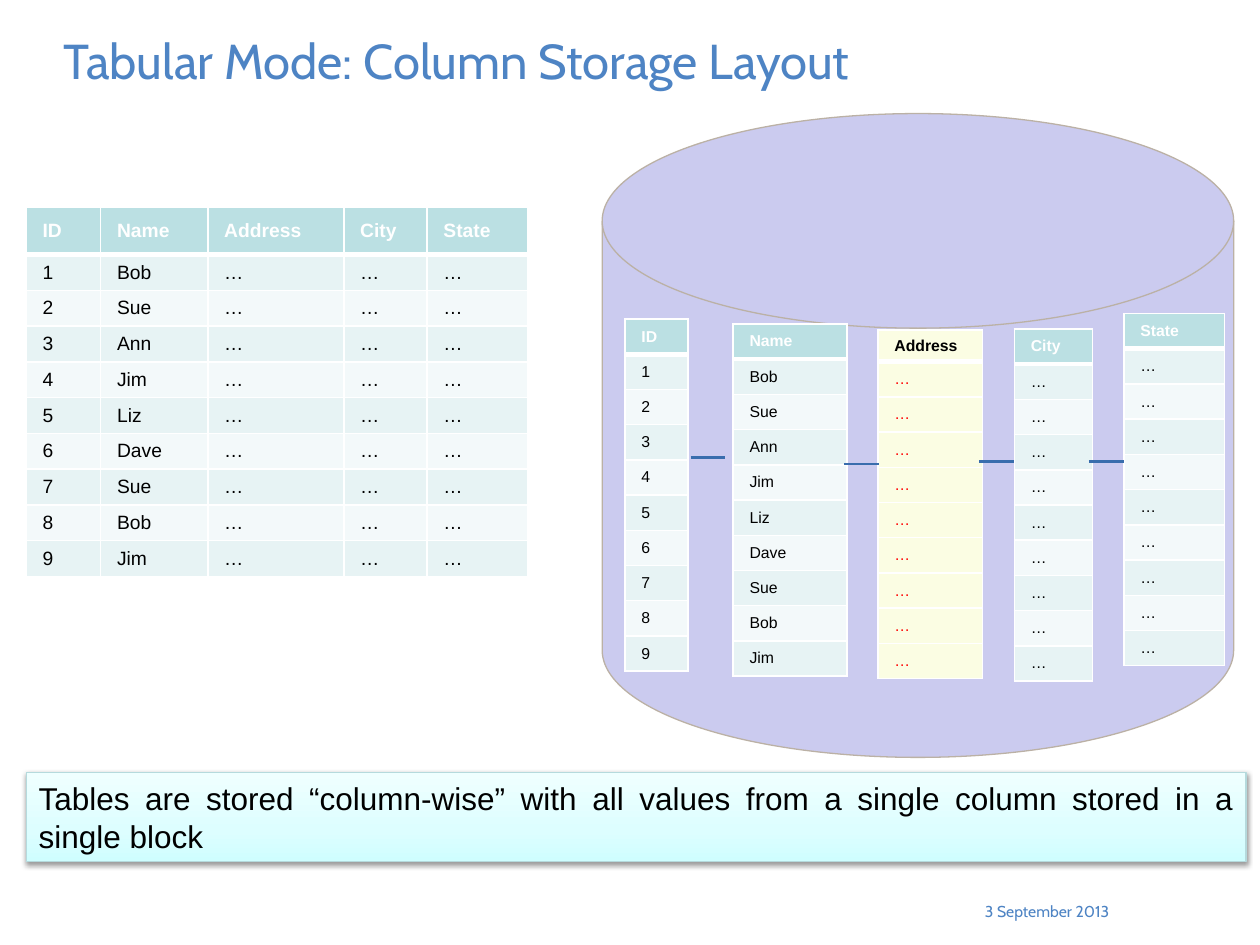
from lxml.etree import SubElement
from pptx import Presentation
from pptx.dml.color import RGBColor
from pptx.enum.shapes import MSO_CONNECTOR as Connector, MSO_SHAPE as Shape
from pptx.enum.text import MSO_ANCHOR as Anchor, PP_ALIGN as Align
from pptx.oxml.ns import qn
from pptx.util import Cm, Pt

COLORS = {
    "title": "4E84C4", "disk": "CBCBEF", "disk_line": "BBB1A5",
    "header": "BBE0E3", "odd": "E7F3F4", "even": "F3F9FA",
    "highlight": "FBFDE3", "white": "FFFFFF", "black": "000000",
    "red": "FF0000", "link": "396DAD", "note_line": "B5DADD",
}
NOTE_STOPS = [(0, "CFFEFF"), (35, "DDFEFF"), (100, "EFFFFF")]

# Content
TITLE = "Tabular Mode: Column Storage Layout"
DATE = "3 September 2013"
NOTE = ("Tables are stored “column-wise” with all values "
        "from a single column stored in a single block")
HEADERS = ["ID", "Name", "Address", "City", "State"]
NAMES = ["Bob", "Sue", "Ann", "Jim", "Liz", "Dave", "Sue", "Bob", "Jim"]
RECORDS = [[str(number), name, "…", "…", "…"]
           for number, name in enumerate(NAMES, 1)]
ROWS = [HEADERS] + RECORDS

# Geometry in centimetres
ROW_HEIGHT = 0.71
TABLE_WIDTHS = [1.5, 2.16, 2.74, 1.68, 2.03]
BLOCKS = {  # column: left, top, width, header height
    "ID": (12.6, 6.43, 1.27, ROW_HEIGHT),
    "Name": (14.78, 6.53, 2.29, ROW_HEIGHT),
    "Address": (17.7, 6.65, 2.11, 0.64),
    "City": (20.45, 6.63, 1.57, ROW_HEIGHT),
    "State": (22.66, 6.32, 2.03, ROW_HEIGHT),
}
LINK_LENGTH = 0.7
LINKS = [(13.92, 9.22), (21.95, 9.3), (19.74, 9.3), (17.02, 9.35)]


def rgb(name):
    return RGBColor.from_string(COLORS[name])


def write(frame, text, color, size, font="Arial", bold=False,
          align=Align.LEFT, anchor=Anchor.MIDDLE):
    frame.word_wrap = True
    frame.vertical_anchor = anchor
    para = frame.paragraphs[0]
    para.alignment = align
    span = para.add_run()
    span.text = text
    for key, value in {"name": font, "size": Pt(size), "bold": bold}.items():
        setattr(span.font, key, value)
    span.font.color.rgb = rgb(color)


def add_border(cell, side, width):
    line = SubElement(cell._tc.get_or_add_tcPr(), qn(f"a:ln{side}"), w=str(Pt(width)))
    fill = SubElement(line, qn("a:solidFill"))
    SubElement(fill, qn("a:srgbClr"), val=COLORS["white"])


def add_grid(slide, rows, left, top, widths, header_height, size, highlight=False):
    heights = [header_height] + [ROW_HEIGHT] * (len(rows) - 1)
    table = slide.shapes.add_table(
        len(rows), len(widths), Cm(left), Cm(top),
        Cm(sum(widths)), Cm(sum(heights))).table
    for column, width in zip(table.columns, widths):
        column.width = Cm(width)
    for index, (row, height, values) in enumerate(zip(table.rows, heights, rows)):
        row.height = Cm(height)
        header = index == 0
        if highlight:
            fill, color = "highlight", "black" if header else "red"
        elif header:
            fill, color = "header", "white"
        else:
            fill, color = "odd" if index % 2 else "even", "black"
        borders = {"L": 1, "R": 1, "T": 3 if index == 1 else 1, "B": 3 if header else 1}
        for cell, text in zip(row.cells, values):
            for side, width in borders.items():
                add_border(cell, side, width)
            cell.fill.solid()
            cell.fill.fore_color.rgb = rgb(fill)
            cell.margin_left = cell.margin_right = Cm(0.33)
            cell.vertical_anchor = Anchor.MIDDLE
            write(cell.text_frame, text, color, size, bold=header)
            cell.vertical_anchor = Anchor.MIDDLE


def add_outlined(slide, kind, left, top, width, height, line):
    shape = slide.shapes.add_shape(kind, Cm(left), Cm(top), Cm(width), Cm(height))
    shape.shadow.inherit = False
    shape.line.color.rgb = rgb(line)
    shape.line.width = Pt(0.75)
    return shape


def add_note(slide):
    box = add_outlined(slide, Shape.RECTANGLE, 0.53, 15.57, 24.59, 1.8, "note_line")
    box.fill.gradient()
    box.fill.gradient_angle = 90
    properties = box._element.spPr
    stops = properties.find(f".//{qn('a:gsLst')}")
    for stop in list(stops):
        stops.remove(stop)
    for position, color in NOTE_STOPS:
        stop = SubElement(stops, qn("a:gs"), pos=str(position * 1000))
        SubElement(stop, qn("a:srgbClr"), val=color)
    shadow = SubElement(
        properties.find(qn("a:effectLst")), qn("a:outerShdw"),
        blurRad=str(Pt(3.1)), dist=str(Pt(1.6)), dir="5400000", rotWithShape="0")
    tint = SubElement(shadow, qn("a:srgbClr"), val=COLORS["black"])
    SubElement(tint, qn("a:alpha"), val="38000")
    write(box.text_frame, NOTE, "black", 18, align=Align.JUSTIFY)


def main():
    deck = Presentation()
    deck.slide_width, deck.slide_height = Cm(25.4), Cm(19.05)
    page = deck.slides.add_slide(deck.slide_layouts[5])

    # Title and date
    title = page.shapes.title
    place = {"left": 1.02, "top": 0.48, "width": 19.1, "height": 1.45}
    for key, value in place.items():
        setattr(title, key, Cm(value))
    write(title.text_frame, TITLE, "title", 28, font="Cabin")
    date = page.shapes.add_textbox(Cm(18.67), Cm(17.93), Cm(3.94), Cm(0.89))
    write(date.text_frame, DATE, "title", 9, font="Cabin", align=Align.RIGHT)

    # Storage disk with one block per column
    disk = add_outlined(page, Shape.FLOWCHART_MAGNETIC_DISK,
                        12.14, 2.29, 12.73, 12.98, "disk_line")
    disk.fill.solid()
    disk.fill.fore_color.rgb = rgb("disk")
    for index, name in enumerate(HEADERS):
        left, top, width, header_height = BLOCKS[name]
        add_grid(page, [[row[index]] for row in ROWS], left, top, [width],
                 header_height, 9, highlight=name == "Address")

    # Whole table
    add_grid(page, ROWS, 0.53, 4.17, TABLE_WIDTHS, 0.96, 11)

    # Links between blocks
    for left, top in LINKS:
        link = page.shapes.add_connector(
            Connector.STRAIGHT, Cm(left), Cm(top), Cm(left + LINK_LENGTH), Cm(top))
        link.line.color.rgb = rgb("link")
        link.line.width = Pt(1.5)
        SubElement(link._element.spPr, qn("a:effectLst"))

    add_note(page)
    deck.save("out.pptx")


if __name__ == "__main__":
    main()
